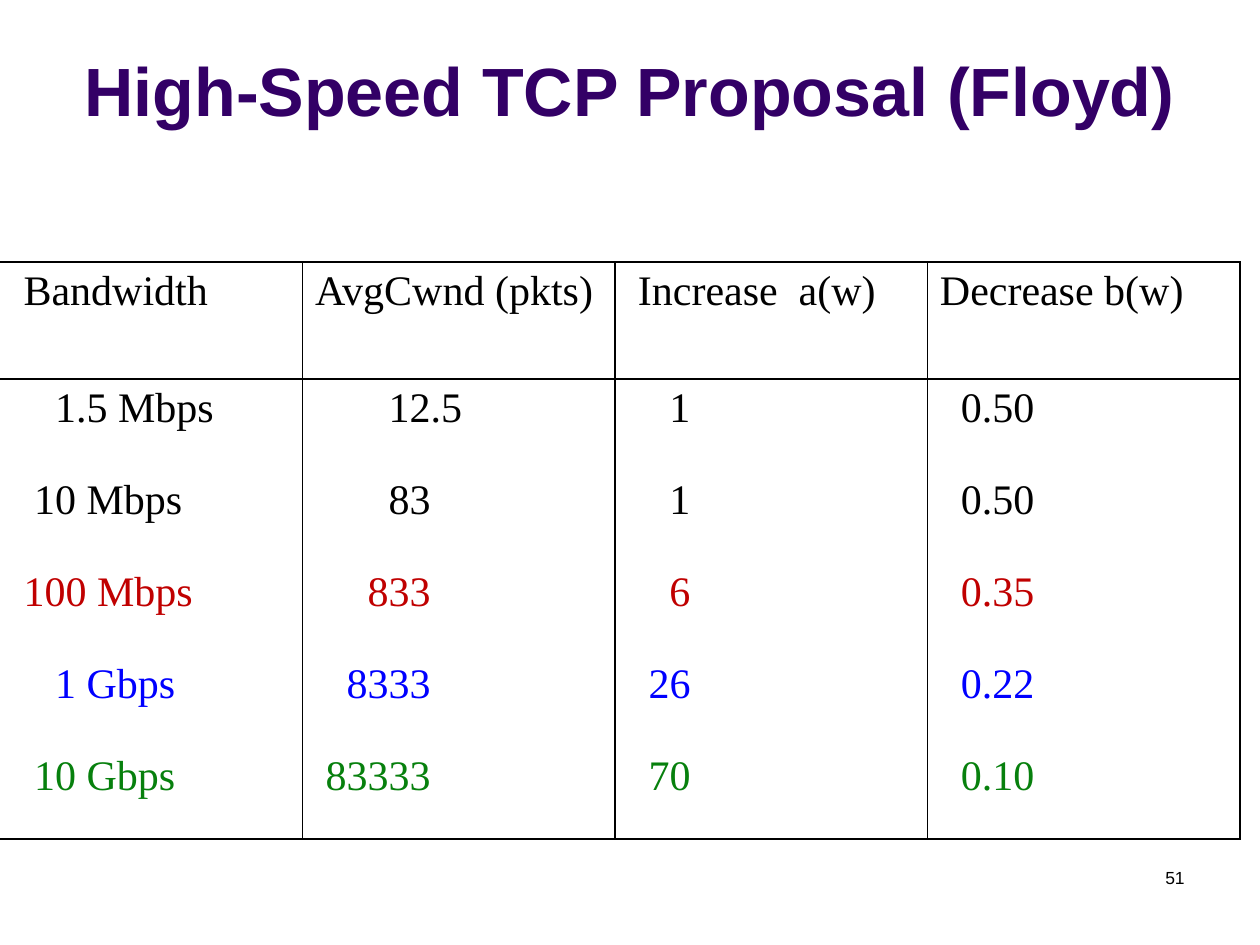
from lxml import etree
from pptx import Presentation, util as u
from pptx.dml.color import RGBColor
from pptx.enum import text
from pptx.oxml.ns import qn

PX = 914400 / 126
SPACE = u.Pt(6)
COLORS = {"title": "330066", "ink": "000000", "red": "C00000",
          "blue": "0000FF", "green": "07800D"}
ROWS = [
    ("ink", ("Bandwidth", 2), ("AvgCwnd (pkts)", 0), ("Increase  a(w)", 1), ("Decrease b(w)", 0)),
    ("ink", ("1.5 Mbps", 5), ("12.5", 7), ("1", 4), ("0.50", 2)),
    ("ink", ("10 Mbps", 3), ("83", 7), ("1", 4), ("0.50", 2)),
    ("red", ("100 Mbps", 2), ("833", 5), ("6", 4), ("0.35", 2)),
    ("blue", ("1 Gbps", 5), ("8333", 3), ("26", 2), ("0.22", 2)),
    ("green", ("10 Gbps", 3), ("83333", 1), ("70", 2), ("0.10", 2)),
]


def px(n):
    return u.Emu(round(n * PX))


def style(p, size, font, color, align, bold=False):
    p.alignment = align
    for r in p.runs:
        r.font.size = u.Pt(size)
        r.font.name = font
        r.font.bold = bold
        r.font.color.rgb = RGBColor.from_string(COLORS[color])


def border(cell, sides):
    tcPr = cell._tc.get_or_add_tcPr()
    for i, side in enumerate("LRTB"):
        ln = etree.Element(qn("a:ln" + side), w=str(u.Pt(1)))
        if side in sides:
            fill = etree.SubElement(ln, qn("a:solidFill"))
            etree.SubElement(fill, qn("a:srgbClr"), val=COLORS["ink"])
        else:
            etree.SubElement(ln, qn("a:noFill"))
        tcPr.insert(i, ln)


def add_title(s, x, y, w, h):
    sp = s.shapes.title
    sp.left, sp.top, sp.width, sp.height = map(px, (x, y, w, h))
    tf = sp.text_frame
    tf.text = "High-Speed TCP Proposal (Floyd)"
    tf.auto_size = text.MSO_AUTO_SIZE.NONE
    tf.vertical_anchor = text.MSO_ANCHOR.BOTTOM
    style(tf.paragraphs[0], 39, "Arial", "title", text.PP_ALIGN.CENTER, True)


def add_bandwidth_table(s, x, y, w, h):
    n_rows, n_cols = len(ROWS), len(ROWS[0]) - 1
    tbl = s.shapes.add_table(n_rows, n_cols, *map(px, (x, y, w, h))).table
    tbl.first_row = tbl.horz_banding = False
    row_h = 92
    for col in tbl.columns:
        col.width = px(w / n_cols)
    for i, (color, *cells) in enumerate(ROWS):
        tbl.rows[i].height = px(row_h if i else h - row_h * (n_rows - 1))
        sides = "LR" + ("T" if i < 2 else "") + ("B" if i in (0, n_rows - 1) else "")
        for j, (value, indent) in enumerate(cells):
            cell = tbl.cell(i, j)
            cell.text = value
            cell.margin_left = u.Inches(0.1) + indent * SPACE
            cell.fill.background()
            border(cell, sides)
            style(cell.text_frame.paragraphs[0], 24, "Times New Roman", color,
                  text.PP_ALIGN.LEFT)


def add_page_number(s, x, y, w, h):
    tf = s.shapes.add_textbox(*map(px, (x, y, w, h))).text_frame
    tf.word_wrap = True
    tf.text = "51"
    style(tf.paragraphs[0], 10, "Arial", "ink", text.PP_ALIGN.RIGHT)


def main():
    prs = Presentation()
    prs.slide_width, prs.slide_height = px(1260), px(945)
    s = prs.slides.add_slide(prs.slide_layouts[5])
    add_title(s, 0, 16, 1260, 120)
    add_page_number(s, 903, 861, 294, 63)
    add_bandwidth_table(s, -10, 262, 1250, 577)
    prs.save("out.pptx")


if __name__ == "__main__":
    main()
